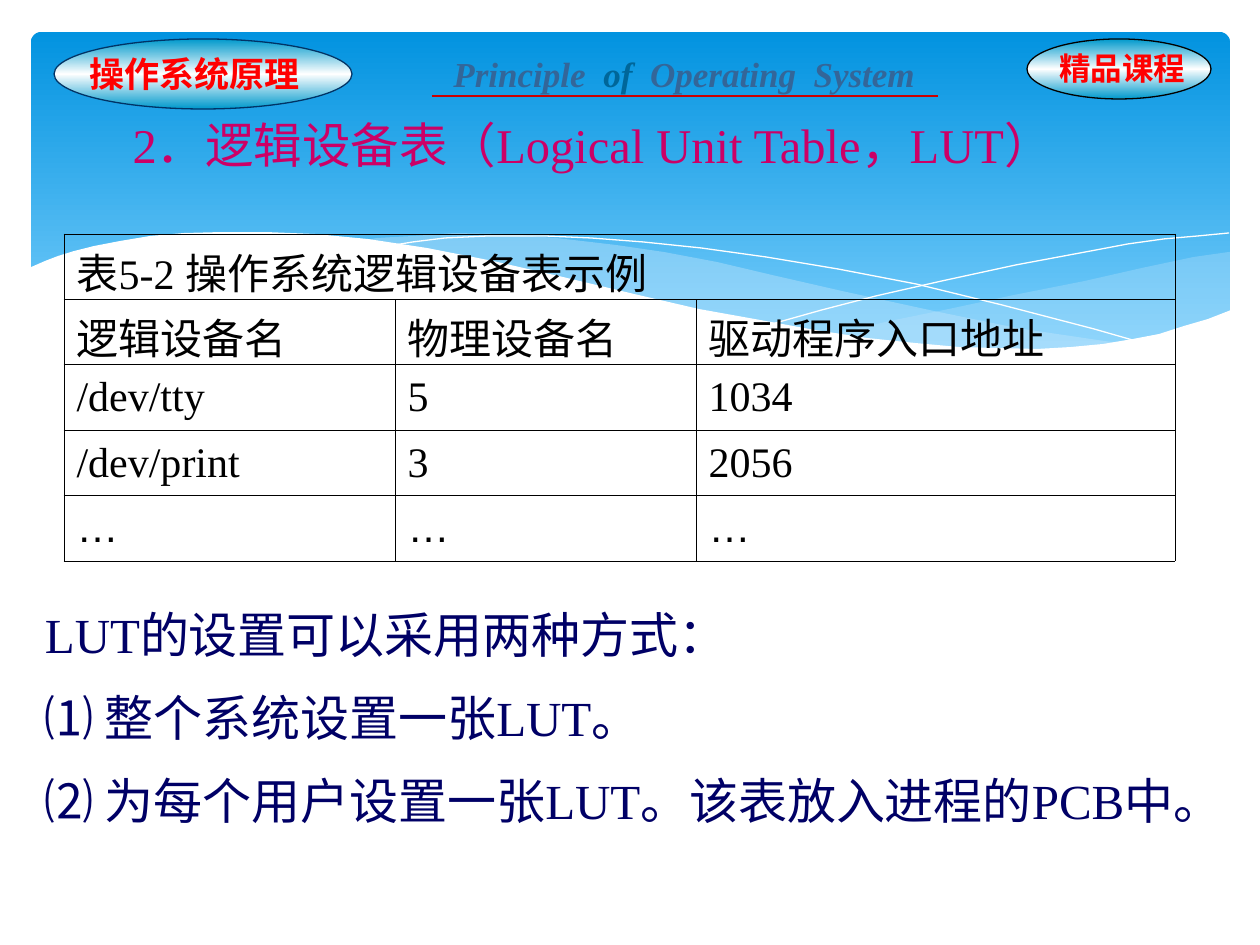
"""Build the slide on the logical unit table (LUT)."""
from dataclasses import dataclass

from lxml.etree import SubElement
from pptx import Presentation
from pptx.dml.color import RGBColor as RGB
from pptx.enum.shapes import MSO_CONNECTOR as LINK, MSO_SHAPE as FORM
from pptx.enum.text import MSO_ANCHOR as ANCHOR, MSO_AUTO_SIZE as FIT, PP_ALIGN as ALIGN
from pptx.oxml.ns import qn
from pptx.util import Emu, Pt


@dataclass(frozen=True)
class Theme:
    serif: str = "Times New Roman"
    sans: str = "Arial"
    sky: tuple = ("0293E0", "83D3FE")
    badge: tuple = ("0099CC", "FFFFFF", "0099CC")
    white: str = "FFFFFF"
    mist: str = "C6E7FC"
    black: str = "000000"
    edge: str = "003366"
    red: str = "FF0000"
    rule: str = "CC0000"
    slate: str = "336699"
    teal: str = "006699"
    pink: str = "CC0066"
    navy: str = "000066"
    title: float = 27.7
    body: int = 28
    cell: int = 24
    head: int = 20
    tag: int = 18


def px(*nums):
    return [Emu(round(n * 914400 / 126)) for n in nums]


def style(font, size, color, name=Theme.serif, bold=False, slant=False):
    font.size, font.name = Pt(size), name
    font.bold, font.italic = bold, slant
    font.color.rgb = RGB.from_string(color)


theme = Theme()
deck = Presentation()
deck.slide_width, deck.slide_height = px(1260, 945)
slide = deck.slides.add_slide(deck.slide_layouts[1])
shapes = slide.shapes
title, body = slide.placeholders

forms = [
    (FORM.ROUNDED_RECTANGLE, (31, 32, 1199, 340), theme.sky, None),
    (FORM.OVAL, (54, 39, 298, 70), theme.badge, theme.edge),
    (FORM.OVAL, (1027, 39, 184, 60), theme.badge, theme.black),
]
plates = []
for form, box, hues, edge in forms:
    plate = shapes.add_shape(form, *px(*box))
    plate.shadow.inherit = False
    plate.fill.gradient()
    plate.fill.gradient_angle = 270
    stops = plate.element.spPr.find(".//" + qn("a:gsLst"))
    for stop in list(stops):
        stops.remove(stop)
    for i, hue in enumerate(hues):
        stop = SubElement(stops, qn("a:gs"), pos=str(100000 * i // (len(hues) - 1)))
        SubElement(stop, qn("a:srgbClr"), val=hue)
    if edge:
        plate.line.color.rgb = RGB.from_string(edge)
        plate.line.width = Pt(0.75)
    else:
        plate.line.fill.background()
    plates.append(plate)
plates[0].adjustments[0] = 0.03

waves = [
    (theme.mist, 29, [
        (1229, 252), (1194, 257), (1142, 268), (1085, 281), (1014, 295), (949, 309),
        (890, 321), (833, 334), (871, 339), (922, 345), (969, 348), (1012, 350),
        (1051, 349), (1087, 347), (1120, 343), (1150, 337), (1178, 330), (1213, 318),
        (1230, 311), (1230, 252)]),
    (theme.mist, 40, [
        (1125, 344), (1091, 339), (1017, 328), (934, 311), (842, 291), (772, 275),
        (717, 262), (664, 252), (616, 245), (556, 238), (503, 234), (455, 233),
        (413, 236), (377, 238), (360, 241), (407, 247), (456, 256), (509, 266),
        (566, 280), (619, 292), (713, 312), (779, 325), (838, 335), (893, 343),
        (942, 348), (989, 350), (1031, 351), (1068, 350), (1104, 347)]),
    (None, 0, [
        (389, 246), (413, 242), (445, 238), (488, 236), (545, 236), (591, 238),
        (643, 242), (701, 248), (766, 257), (838, 269), (916, 284), (1002, 305),
        (1094, 329), (1143, 343)]),
    (None, 0, [
        (772, 324), (822, 310), (876, 296), (942, 281), (1016, 265), (1091, 251),
        (1128, 244), (1164, 239), (1198, 236), (1229, 233)]),
    (theme.white, 100, [
        (1231, 310), (1208, 319), (1184, 326), (1159, 334), (1133, 339), (1103, 344),
        (1071, 347), (1037, 349), (999, 348), (959, 347), (915, 343), (867, 338),
        (815, 330), (760, 320), (699, 309), (634, 294), (563, 277), (493, 261),
        (427, 248), (368, 239), (315, 234), (266, 232), (222, 232), (184, 233),
        (150, 236), (120, 241), (94, 246), (74, 251), (58, 256), (45, 261),
        (29, 268), (29, 415), (1231, 415)]),
]
for hue, alpha, dots in waves:
    pen = shapes.build_freeform(*dots[0], scale=914400 / 126)
    pen.add_line_segments(dots[1:], close=bool(hue))
    wave = pen.convert_to_shape()
    wave.shadow.inherit = False
    if hue:
        wave.fill.solid()
        wave.fill.fore_color.rgb = RGB.from_string(hue)
        tint = wave.element.spPr.find(".//" + qn("a:srgbClr"))
        SubElement(tint, qn("a:alpha"), val=str(alpha * 1000))
        wave.line.fill.background()
    else:
        wave.fill.background()
        wave.line.color.rgb = RGB.from_string(theme.white)
        wave.line.width = Pt(0)

rule = shapes.add_connector(LINK.STRAIGHT, *px(432, 96, 938, 96))
rule.line.color.rgb = RGB.from_string(theme.rule)
rule.line.width = Pt(1)
SubElement(rule.element.spPr, qn("a:effectLst"))

labels = [
    ((77, 46, 236, 55), False, theme.head, theme.serif, False,
     [("操作系统原理", theme.red)]),
    ((441, 46, 495, 55), False, theme.head, theme.serif, True,
     [("Principle  ", theme.slate), ("of  ", theme.teal), ("Operating  System", theme.slate)]),
    ((1047, 43, 174, 50), True, theme.tag, theme.sans, False,
     [("精品课程", theme.red)]),
]
for box, wrap, size, name, slant, parts in labels:
    frame = shapes.add_textbox(*px(*box)).text_frame
    frame.word_wrap = wrap
    frame.auto_size = FIT.SHAPE_TO_FIT_TEXT
    para = frame.paragraphs[0]
    style(para.font, size, parts[0][1], name, True, slant)
    for text, hue in parts:
        run = para.add_run()
        run.text = text
        run.font.color.rgb = RGB.from_string(hue)

rows = [
    ("表5-2 操作系统逻辑设备表示例", "", ""),
    ("逻辑设备名", "物理设备名", "驱动程序入口地址"),
    ("/dev/tty", "5", "1034"),
    ("/dev/print", "3", "2056"),
    ("…", "…", "…"),
]
widths = px(331, 301, 479)
table = shapes.add_table(len(rows), len(widths), *px(64, 234, 1111, 327)).table
table.first_row = table.horz_banding = False
for col, width in zip(table.columns, widths):
    col.width = width
for r, row in enumerate(rows):
    for c, text in enumerate(row):
        cell = table.cell(r, c)
        cell.vertical_anchor = ANCHOR.MIDDLE
        props = cell._tc.get_or_add_tcPr()
        for side in ("a:lnL", "a:lnR", "a:lnT", "a:lnB"):
            line = SubElement(props, qn(side), w=str(Pt(0.45)))
            paint = SubElement(line, qn("a:solidFill"))
            SubElement(paint, qn("a:srgbClr"), val=theme.black)
        cell.fill.background()
        if text:
            cell.text = text
            name = theme.sans if text == "…" else theme.serif
            style(cell.text_frame.paragraphs[0].font, theme.cell, theme.black, name)
table.cell(0, 0).merge(table.cell(0, 2))

blocks = [
    (title, (34, 115, 1134, 79), ["2．逻辑设备表（Logical Unit Table，LUT）"],
     theme.title, theme.pink, ALIGN.JUSTIFY, 0.9, px(118, -32)),
    (body, (45, 592, 1170, 310),
     ["LUT的设置可以采用两种方式：", "⑴ 整个系统设置一张LUT。",
      "⑵ 为每个用户设置一张LUT。该表放入进程的PCB中。"],
     theme.body, theme.navy, ALIGN.LEFT, 1.2, px(0, 0)),
]
for item, box, lines, size, hue, align, gap, (left, first) in blocks:
    item.left, item.top, item.width, item.height = px(*box)
    shapes.element.append(item.element)
    frame = item.text_frame
    frame.text = "\n".join(lines)
    frame.word_wrap, frame.auto_size = True, FIT.NONE
    frame.vertical_anchor = ANCHOR.TOP
    for i, para in enumerate(frame.paragraphs):
        para.alignment, para.line_spacing = align, gap
        para.space_before = Pt(7 if i else 0)
        props = para._p.get_or_add_pPr()
        props.set("marL", str(left))
        props.set("indent", str(first))
        SubElement(props, qn("a:buNone"))
        style(para.font, size, hue)
body.text_frame.margin_left, body.text_frame.margin_top = px(0, 1)

deck.save("out.pptx")
